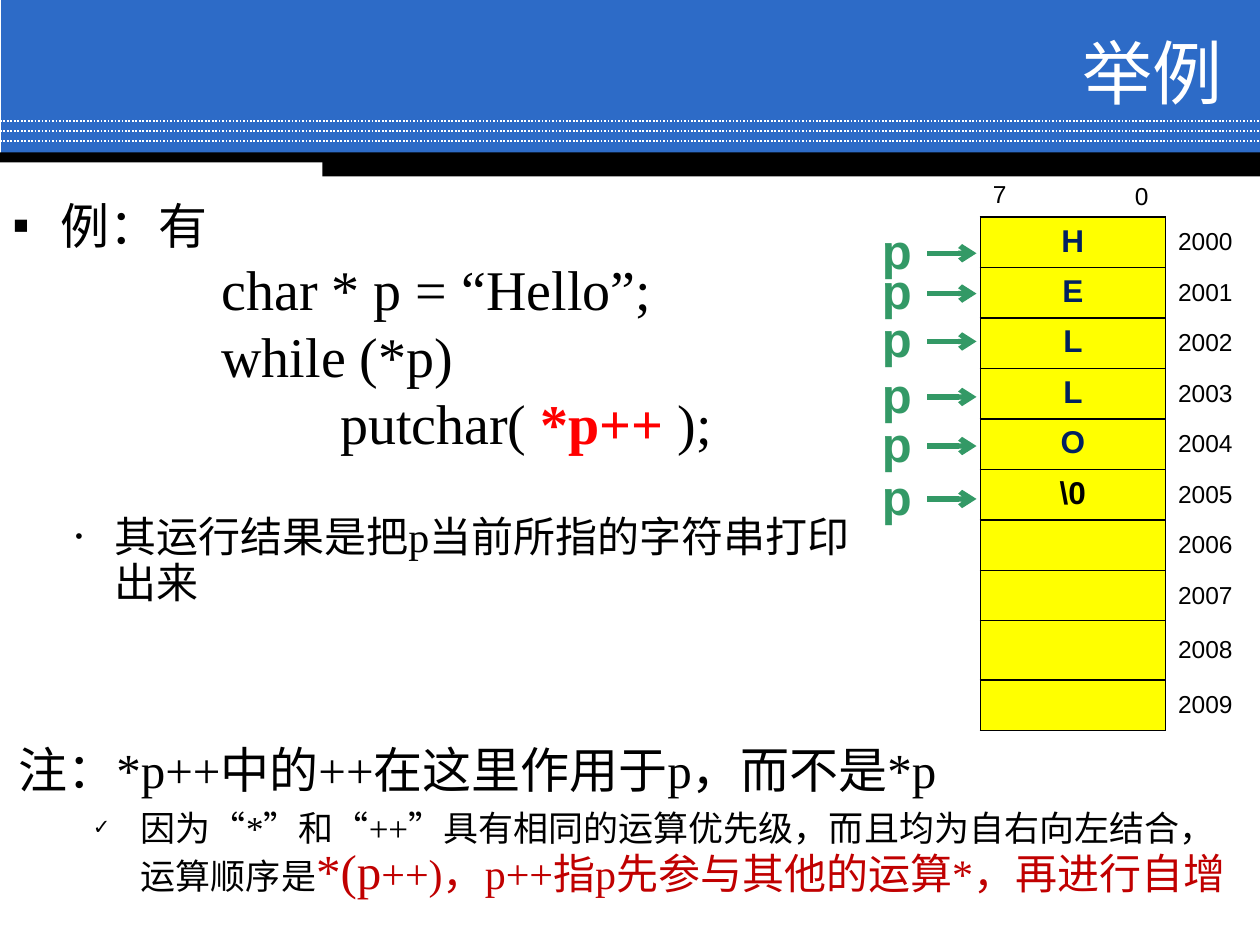
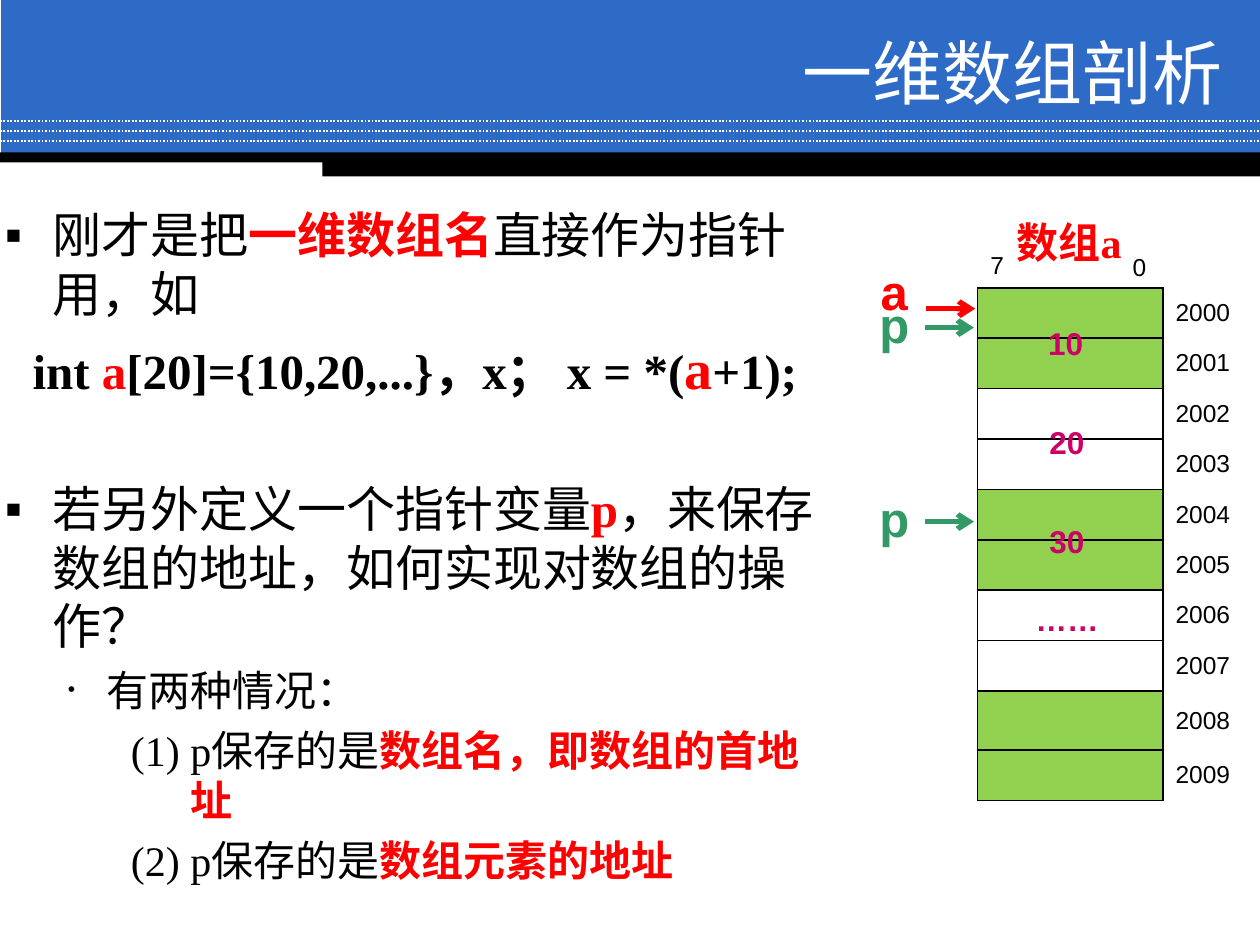
from lxml import etree
from pptx import Presentation
from pptx.dml.color import RGBColor
from pptx.enum.dml import MSO_LINE
from pptx.enum.shapes import MSO_CONNECTOR, MSO_SHAPE
from pptx.enum.text import MSO_ANCHOR, MSO_AUTO_SIZE, PP_ALIGN
from pptx.oxml.ns import qn
from pptx.util import Inches, Pt

BLACK = RGBColor(0x00, 0x00, 0x00)
WHITE = RGBColor(0xFF, 0xFF, 0xFF)
BLUE = RGBColor(0x2D, 0x6B, 0xC7)
NAVY = RGBColor(0x00, 0x20, 0x60)
YELLOW = RGBColor(0xFF, 0xFF, 0x00)
LIME = RGBColor(0x92, 0xD0, 0x50)
GREEN = RGBColor(0x33, 0x99, 0x66)
RED = RGBColor(0xFF, 0x00, 0x00)
DARK_RED = RGBColor(0xC0, 0x00, 0x00)
MAGENTA = RGBColor(0xCC, 0x00, 0x66)

SANS = "Arial"
SERIF = "Times New Roman"
CJK = "Noto Sans CJK SC"

LEFT, CENTER, RIGHT = PP_ALIGN.LEFT, PP_ALIGN.CENTER, PP_ALIGN.RIGHT
TOP, MIDDLE = MSO_ANCHOR.TOP, MSO_ANCHOR.MIDDLE
NO_FIT = MSO_AUTO_SIZE.NONE
DOTTED = MSO_LINE.ROUND_DOT
STRAIGHT = MSO_CONNECTOR.STRAIGHT
RECTANGLE = MSO_SHAPE.RECTANGLE
NO_GRID_STYLE = "{2D5ABB26-0587-4C30-8999-92F81FD0307C}"


def add_child(parent, tag, **attributes):
    return etree.SubElement(parent, qn(tag), attributes)


def add_span(para, text, size=18, color=BLACK, bold=False, font=SERIF):
    span = para.add_run()
    span.text = text
    span.font.size = Pt(size)
    span.font.bold = bold
    span.font.color.rgb = color
    span.font.name = font
    add_child(span.font._element, "a:ea", typeface=CJK)


def format_para(para, spans, margin=0, indent=0, bullet=None, bullet_size=100,
                align=LEFT, before=0, leading=None, **style):
    properties = para._p.get_or_add_pPr()
    properties.set("marL", str(Inches(margin)))
    properties.set("indent", str(Inches(indent)))
    if bullet:
        add_child(properties, "a:buSzPct", val=str(bullet_size * 1000))
        add_child(properties, "a:buFont", typeface=SANS)
        add_child(properties, "a:buChar", char=bullet)
    else:
        add_child(properties, "a:buNone")
    para.alignment = align
    para.space_before = Pt(before)
    if leading:
        para.line_spacing = Pt(leading)
    for text, changes in spans:
        add_span(para, text, **{**style, **changes})


class Deck:
    def __init__(self):
        self.file = Presentation()
        self.file.slide_width = Inches(10)
        self.file.slide_height = Inches(7.5)
        self.layout = self.file.slide_layouts[5]
        self.page = None

    def new_page(self, title, font):
        first = self.page is None
        self.page = self.file.slides.add_slide(self.layout)
        if first:
            self.add_band()
        box = self.page.shapes.title
        box.left, box.top = Inches(2.88), Inches(0.28)
        box.width, box.height = Inches(6.92), Inches(0.58)
        frame = box.text_frame
        frame.auto_size = NO_FIT
        frame.vertical_anchor = MIDDLE
        format_para(frame.paragraphs[0], [(title, {})], align=RIGHT,
                    size=40, color=WHITE, font=font)

    def add_band(self):
        band = [self.bar(0.01, 0, 9.99, 1.23, BLUE)]
        band += [self.line(0, y, 10, y, WHITE, 1, dash=DOTTED)
                 for y in (0.96, 1.04, 1.12)]
        band += [self.bar(0, 1.21, 10, 0.08, BLACK),
                 self.bar(2.56, 1.24, 7.44, 0.16, BLACK)]
        tree = self.layout.shapes._spTree
        for position, shape in enumerate(band, start=2):
            tree.insert(position, shape._element)

    def bar(self, left, top, width, height, color):
        shape = self.page.shapes.add_shape(
            RECTANGLE, Inches(left), Inches(top), Inches(width), Inches(height))
        shape.shadow.inherit = False
        shape.fill.solid()
        shape.fill.fore_color.rgb = color
        shape.line.fill.background()
        return shape

    def line(self, x1, y1, x2, y2, color, width, dash=None, arrow=False):
        connector = self.page.shapes.add_connector(
            STRAIGHT, Inches(x1), Inches(y1), Inches(x2), Inches(y2))
        connector.line.color.rgb = color
        connector.line.width = Pt(width)
        if dash:
            connector.line.dash_style = dash
        if arrow:
            add_child(connector.line._get_or_add_ln(), "a:tailEnd", type="arrow")
        add_child(connector._element.spPr, "a:effectLst")
        return connector

    def text(self, left, top, width, height, paras):
        box = self.page.shapes.add_textbox(
            Inches(left), Inches(top), Inches(width), Inches(height))
        frame = box.text_frame
        frame.word_wrap = True
        for index, (spans, style) in enumerate(paras):
            para = frame.add_paragraph() if index else frame.paragraphs[0]
            format_para(para, spans, **style)

    def label(self, text, left, top, width, height, **style):
        self.text(left, top, width, height, [([(text, {})], style)])

    def pointer(self, name, left, top, color=GREEN, drop=0.31):
        self.label(name, left, top, 0.31, 0.57,
                   size=28, color=color, bold=True, font=SANS)
        y = top + drop
        self.line(left + 0.46, y, left + 0.85, y, color, 3, arrow=True)

    def cell(self, cell, text, borders, fill=None, anchor=TOP, **style):
        para = cell.text_frame.paragraphs[0]
        if text:
            format_para(para, [(text, {})], font=SANS, **style)
        else:
            para.font.size = Pt(14)
        cell.vertical_anchor = anchor
        properties = cell._tc.get_or_add_tcPr()
        for side in borders:
            edge = add_child(properties, f"a:ln{side}", w=str(Pt(1)))
            paint = add_child(edge, "a:solidFill")
            add_child(paint, "a:srgbClr", val=str(BLACK))
        if fill:
            cell.fill.solid()
            cell.fill.fore_color.rgb = fill
        else:
            cell.fill.background()

    def memory(self, left, top, cells):
        heights = [0.33] + [0.4] * 8 + [0.47, 0.4]
        table = self.page.shapes.add_table(
            len(heights), 2, Inches(left), Inches(top),
            Inches(3.36), Inches(sum(heights))).table
        table._tbl.tblPr.find(qn("a:tableStyleId")).text = NO_GRID_STYLE
        table.first_row = table.horz_banding = False
        for column, width in zip(table.columns, (1.47, 1.89)):
            column.width = Inches(width)
        for row, height in zip(table.rows, heights):
            row.height = Inches(height)
        self.cell(table.cell(0, 0), "7", "B", size=14)
        self.cell(table.cell(0, 1), "", "")
        self.label("0", left + 1.13, top, 0.34, 0.33, size=14, font=SANS)
        for row, (text, fill, color) in enumerate(cells, start=1):
            self.cell(table.cell(row, 0), text, "LRTB", fill,
                      align=CENTER, size=18, color=color, bold=True)
            self.cell(table.cell(row, 1), str(1999 + row), "L",
                      anchor=MIDDLE, size=14)


def string_page(deck):
    deck.new_page("举例", SANS)
    code = dict(size=32, leading=38.5)
    deck.text(0, 1.55, 7.05, 4.02, [
        ([("例：有", {})],
         dict(margin=0.38, indent=-0.38, bullet="▪", size=28, leading=30)),
        ([("char * p = “Hello”;", {})], dict(margin=1.66, **code)),
        ([("while (*p)", {})], dict(margin=1.66, **code)),
        ([("putchar( ", {}), ("*p++ ", dict(color=RED, bold=True)), (");", {})],
         dict(margin=2.6, **code)),
        ([("其运行结果是把p当前所指的字符串打印出来", {})],
         dict(margin=0.81, indent=-0.31, bullet="•", bullet_size=50,
              size=24, before=34, leading=26)),
    ])
    letters = ["H", "E", "L", "L", "O", "\\0"] + [""] * 4
    deck.memory(7.78, 1.39, [
        (letter, YELLOW, NAVY if letter.isalpha() else BLACK)
        for letter in letters])
    for top in (1.7, 2.02, 2.4, 2.84, 3.23, 3.65):
        deck.pointer("p", 6.9, top)
    deck.text(-0.04, 5.82, 10.04, 1.34, [
        ([("注：*p++中的++在这里作用于p，而不是*p", {})],
         dict(margin=0.81, indent=-0.72, size=28, leading=33.4)),
        ([("因为“*”和“++”具有相同的运算优先级，而且均为自右向左结合，运算顺序是",
           dict(size=20, color=BLACK)),
          ("*(p", dict(size=28)),
          ("++)，p++指p先参与其他的运算*，再进行自增", {})],
         dict(margin=1.06, indent=-0.38, bullet="✓", bullet_size=60,
              size=24, color=DARK_RED, leading=29)),
    ])


def array_page(deck):
    deck.new_page("一维数组剖析", CJK)
    strong = dict(color=RED, bold=True)
    main = dict(margin=0.38, indent=-0.38, bullet="▪", size=28, leading=33.4)
    case = dict(size=24, before=5.7, leading=28.6)
    deck.text(-0.06, 1.58, 6.69, 5.58, [
        ([("刚才是把", {}), ("一维数组名", strong), ("直接作为指针用，如", {})], main),
        ([("int ", {}), ("a", strong), ("[20]={10,20,...}，x； x = *(", {}),
          ("a", dict(size=32, color=RED)), ("+1);", {})],
         dict(margin=0.38, indent=-0.16, size=28, bold=True,
              before=6.5, leading=38.2)),
        ([("若另外定义一个指针变量", {}), ("p", strong),
          ("，来保存数组的地址，如何实现对数组的操作？", {})],
         dict(before=45, **main)),
        ([("有两种情况：", {})],
         dict(margin=0.81, indent=-0.31, bullet="•", bullet_size=50, **case)),
        ([("(1) p保存的是", {}), ("数组名，即数组的首地址", strong)],
         dict(margin=1.47, indent=-0.47, **case)),
        ([("(2) p保存的是", {}), ("数组元素的地址", strong)],
         dict(margin=1, **case)),
    ])
    deck.memory(7.76, 1.95, [
        ("", None if row // 2 % 2 else LIME, BLACK) for row in range(10)])
    for value, left, top, width in (
            ("10", 8.22, 2.52, 0.62), ("20", 8.23, 3.31, 0.62),
            ("30", 8.23, 4.09, 0.62), ("……", 8.12, 4.71, 0.78)):
        deck.label(value, left, top, width, 0.4,
                   size=18, color=MAGENTA, bold=True, font=SANS)
    deck.pointer("a", 6.89, 2.03, color=RED, drop=0.42)
    for top in (2.29, 3.83):
        deck.pointer("p", 6.88, top)
    deck.label("数组a", 7.97, 1.67, 1.16, 0.5, size=24, leading=28.6, **strong)


def main():
    deck = Deck()
    string_page(deck)
    array_page(deck)
    deck.file.save("out.pptx")


if __name__ == "__main__":
    main()
